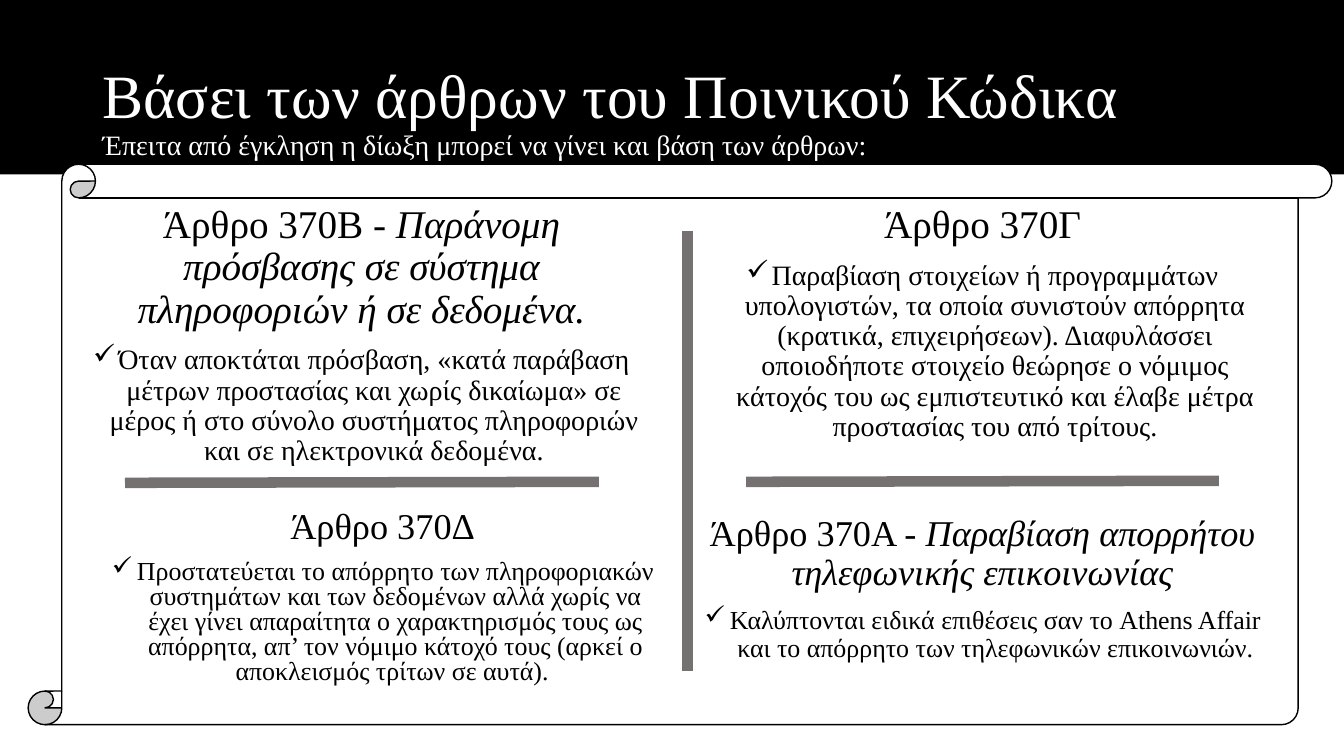
from lxml.etree import SubElement
from pptx import Presentation
from pptx.dml.color import RGBColor
from pptx.enum.shapes import MSO_CONNECTOR, MSO_SHAPE
from pptx.enum.text import MSO_ANCHOR, PP_ALIGN
from pptx.oxml.ns import qn
from pptx.util import Inches, Pt


def rgb(color):
    return RGBColor.from_string(color)


class Deck:
    font = "Times New Roman"
    black, white, gray = "000000", "FFFFFF", "767171"

    def __init__(self, prs):
        self.s = prs.slides.add_slide(prs.slide_layouts[6])

    def shape(self, kind, box, fill, line=None):
        sp = self.s.shapes.add_shape(kind, *map(Inches, box))
        sp.shadow.inherit = False
        sp.fill.solid()
        sp.fill.fore_color.rgb = rgb(fill)
        if line:
            sp.line.color.rgb = rgb(line)
            sp.line.width = Pt(1)
        else:
            sp.line.fill.background()
        return sp

    def text_box(self, box, anchor=MSO_ANCHOR.TOP):
        tf = self.s.shapes.add_textbox(*map(Inches, box)).text_frame
        tf.word_wrap = True
        tf.vertical_anchor = anchor
        return tf

    def run(self, p, text, size, color=black, italic=False):
        r = p.add_run()
        r.text = text
        r.font.name = self.font
        r.font.size = Pt(size)
        r.font.color.rgb = rgb(color)
        r.font.italic = italic

    def title(self, box, heading, subtitle):
        p = self.text_box(box, MSO_ANCHOR.MIDDLE).paragraphs[0]
        p.line_spacing = 0.9
        self.run(p, heading, 44, self.white)
        p.add_line_break()
        self.run(p, subtitle, 20, self.white)

    def article(self, box, heading, subject, body, sizes, spacing=0.9):
        tf = self.text_box(box)
        head, item = tf.paragraphs[0], tf.add_paragraph()
        for p in (head, item):
            p.alignment = PP_ALIGN.CENTER
            p.line_spacing = spacing
            p.space_before = Pt(10)
        self.run(head, heading, sizes[0])
        if subject:
            self.run(head, subject, sizes[0], italic=True)
        self.run(item, body, sizes[1])
        pPr = item._p.get_or_add_pPr()
        pPr.set("marL", str(Inches(0.25)))
        pPr.set("indent", str(-Inches(0.25)))
        SubElement(pPr, qn("a:buChar")).set("char", "✓")

    def divider(self, *ends):
        c = self.s.shapes.add_connector(MSO_CONNECTOR.STRAIGHT, *map(Inches, ends))
        c.line.color.rgb = rgb(self.gray)
        c.line.width = Pt(7.5)
        SubElement(c._element.spPr, qn("a:effectLst"))


prs = Presentation()
prs.slide_width, prs.slide_height = Inches(13.33), Inches(7.5)
deck = Deck(prs)

deck.shape(MSO_SHAPE.RECTANGLE, (0, 0, 13.33, 1.73), deck.black)
scroll = deck.shape(MSO_SHAPE.VERTICAL_SCROLL, (0.28, 1.63, 12.93, 5.56), deck.white, deck.black)
scroll.adjustments[0] = 0.06

deck.title((0.92, 0.4, 11.5, 1.45), "Βάσει των άρθρων του Ποινικού Κώδικα",
           "Έπειτα από έγκληση η δίωξη μπορεί να γίνει και βάση των άρθρων:")

large, small = (28, 20), (25.9, 18.5)
deck.article((0.71, 1.98, 5.75, 2.92), "Άρθρο 370Β - ",
             "Παράνομη πρόσβασης σε σύστημα πληροφοριών ή σε δεδομένα.",
             "Όταν αποκτάται πρόσβαση, «κατά παράβαση μέτρων προστασίας και χωρίς "
             "δικαίωμα» σε μέρος ή στο σύνολο συστήματος πληροφοριών και σε "
             "ηλεκτρονικά δεδομένα.", large)
deck.article((6.87, 1.98, 5.75, 2.78), "Άρθρο 370Γ", "",
             "Παραβίαση στοιχείων ή προγραμμάτων υπολογιστών, τα οποία συνιστούν "
             "απόρρητα (κρατικά, επιχειρήσεων). Διαφυλάσσει οποιοδήποτε στοιχείο "
             "θεώρησε ο νόμιμος κάτοχός του ως εμπιστευτικό και έλαβε μέτρα "
             "προστασίας του από τρίτους.", large)
deck.article((0.92, 5.03, 5.75, 2.04), "Άρθρο 370Δ", "",
             "Προστατεύεται το απόρρητο των πληροφοριακών συστημάτων και των "
             "δεδομένων αλλά χωρίς να έχει γίνει απαραίτητα ο χαρακτηρισμός τους ως "
             "απόρρητα, απ’ τον νόμιμο κάτοχό τους (αρκεί ο αποκλεισμός τρίτων σε "
             "αυτά). ", small, 0.8)
deck.article((6.87, 5.06, 5.75, 2.04), "Άρθρο 370Α - ",
             "Παραβίαση απορρήτου τηλεφωνικής επικοινωνίας",
             "Καλύπτονται ειδικά επιθέσεις σαν το Athens Affair και το απόρρητο των "
             "τηλεφωνικών επικοινωνιών.", small)

deck.divider(6.82, 2.29, 6.82, 6.66)
deck.divider(5.94, 4.78, 1.24, 4.79)
deck.divider(12.09, 4.77, 7.4, 4.78)

prs.save("out.pptx")
